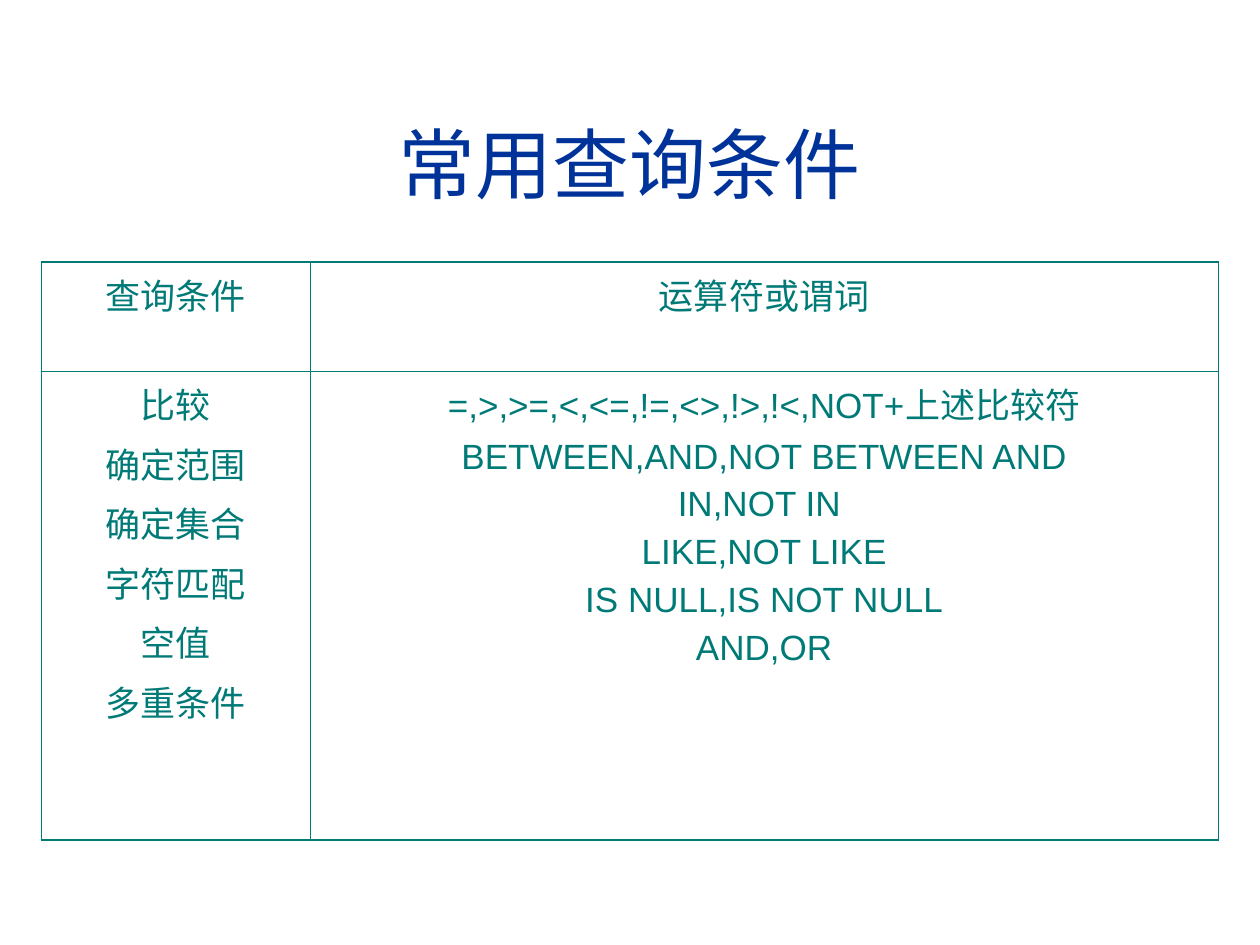
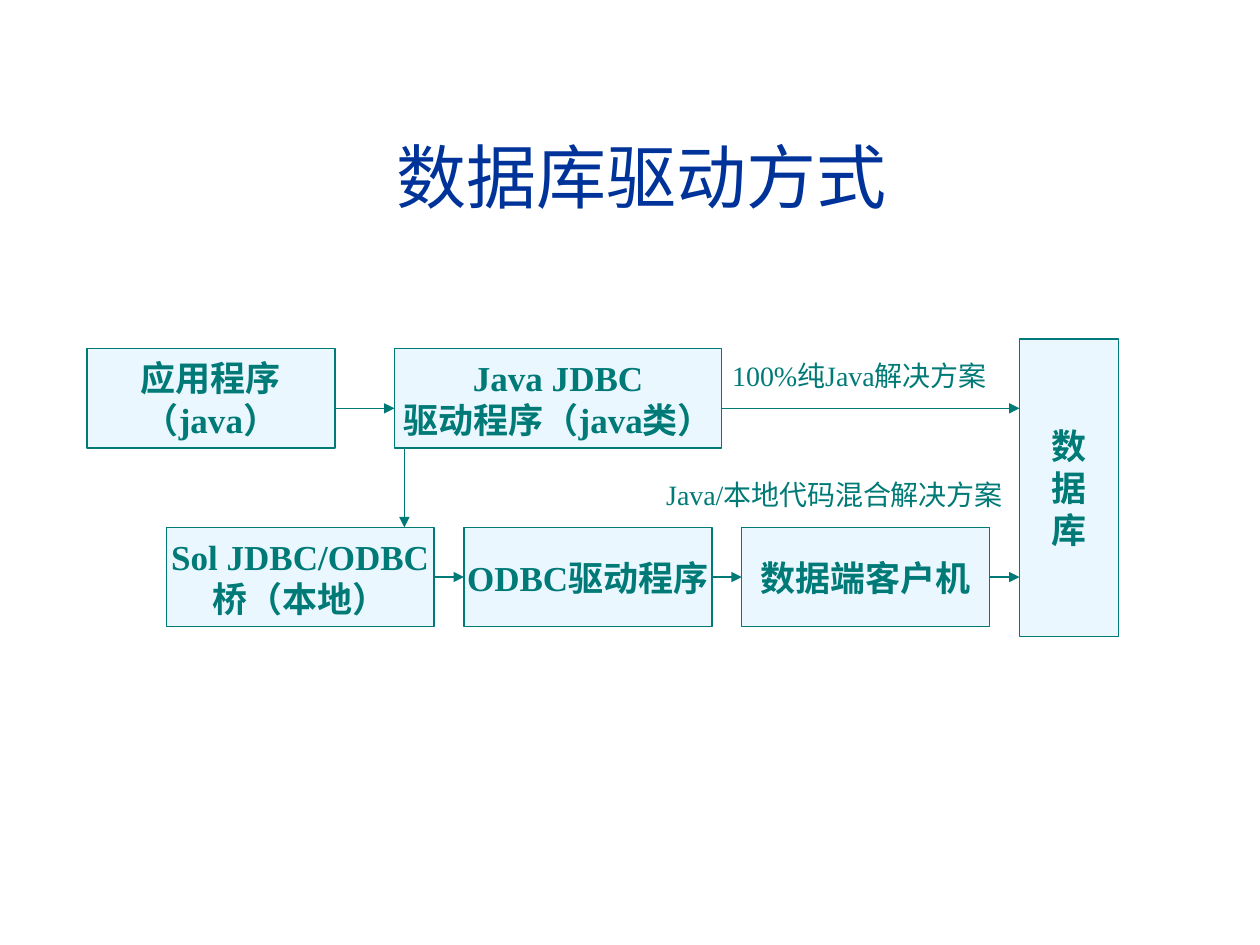
from dataclasses import dataclass

from lxml import etree
from pptx import Presentation
from pptx.dml.color import RGBColor
from pptx.enum.shapes import MSO_CONNECTOR, MSO_SHAPE
from pptx.enum.text import MSO_ANCHOR, MSO_AUTO_SIZE, PP_ALIGN
from pptx.oxml.ns import qn
from pptx.util import Inches, Mm, Pt

CENTER = PP_ALIGN.CENTER
TOP, MIDDLE = MSO_ANCHOR.TOP, MSO_ANCHOR.MIDDLE
RECT, STRAIGHT = MSO_SHAPE.RECTANGLE, MSO_CONNECTOR.STRAIGHT
NO_FIT, GROW = MSO_AUTO_SIZE.NONE, MSO_AUTO_SIZE.SHAPE_TO_FIT_TEXT
LEFT, RIGHT = 1, 3


@dataclass(frozen=True)
class Theme:
    navy: str = "003399"
    teal: str = "007A77"
    pale: str = "EBF7FF"
    sans: str = "Arial"
    serif: str = "Times New Roman"
    body: int = 20
    label: int = 16
    line: float = 0.75
    outer: float = 1.08
    inner: float = 0.45


theme = Theme()
teal = RGBColor.from_string(theme.teal)


def write(frame, text, size, name, color=theme.teal, bold=False, before=0):
    """Fill a text frame with one centred paragraph per line of text."""
    frame.text = text
    style = {"size": Pt(size), "name": name, "bold": bold}
    for para in frame.paragraphs:
        para.alignment = CENTER
        para.space_before = Pt(before)
        for run in para.runs:
            for key, value in style.items():
                setattr(run.font, key, value)
            run.font.color.rgb = RGBColor.from_string(color)


deck = Presentation()
deck.slide_width, deck.slide_height = Inches(10), Inches(7.5)

# Slides and titles: text, size, box in inches
titles = [
    ("常用查询条件", 44, (0.33, 0.67, 9.34, 1.25)),
    ("数据库驱动方式", 40, (0.84, 0.93, 8.5, 0.92)),
]
for text, size, box in titles:
    slide = deck.slides.add_slide(deck.slide_layouts[5])
    title = slide.shapes.title
    title.left, title.top, title.width, title.height = map(Inches, box)
    frame = title.text_frame
    frame.auto_size, frame.vertical_anchor = NO_FIT, MIDDLE
    write(frame, text, size, theme.sans, theme.navy)
first, second = deck.slides

# Query conditions table
rows = [
    ("查询条件", "运算符或谓词"),
    (
        "比较\n确定范围\n确定集合\n字符匹配\n空值\n多重条件",
        "=,>,>=,<,<=,!=,<>,!>,!<,NOT+上述比较符\n"
        "BETWEEN,AND,NOT BETWEEN AND\nIN,NOT IN \nLIKE,NOT LIKE\n"
        "IS NULL,IS NOT NULL\nAND,OR",
    ),
]
widths, heights = (2.13, 7.21), (0.87, 3.72)
table = first.shapes.add_table(
    len(rows), len(widths), Inches(0.33), Inches(2.08),
    Inches(sum(widths)), Inches(sum(heights)),
).table
table.first_row = table.horz_banding = False
for col, width in zip(table.columns, widths):
    col.width = Inches(width)
for row, height in zip(table.rows, heights):
    row.height = Inches(height)

for r, texts in enumerate(rows):
    for c, text in enumerate(texts):
        cell = table.cell(r, c)
        cell.vertical_anchor = TOP
        write(cell.text_frame, text, theme.body, theme.sans, before=5)
        edges = {
            "a:lnL": c == 0,
            "a:lnR": c == len(widths) - 1,
            "a:lnT": r == 0,
            "a:lnB": r == len(rows) - 1,
        }
        props = cell._tc.get_or_add_tcPr()
        for tag, outer in edges.items():
            weight = Pt(theme.outer if outer else theme.inner)
            edge = etree.SubElement(props, qn(tag), w=str(weight))
            fill = etree.SubElement(edge, qn("a:solidFill"))
            etree.SubElement(fill, qn("a:srgbClr"), val=theme.teal)
        cell.fill.background()

# Driver diagram on a 2 mm grid
LEFT_EDGE, TOP_EDGE = Inches(0.69), Inches(2.69)


def place(x, y):
    """Turn a grid column and row into slide coordinates."""
    return LEFT_EDGE + Mm(2 * x), TOP_EDGE + Mm(2 * y)


UPPER, LOWER, HIGH = 1, 19, 10
boxes = {
    "app": ("应用程序\n（java）", 0, UPPER, 25, HIGH),
    "jdbc": ("Java JDBC\n驱动程序（java类）", 31, UPPER, 33, HIGH),
    "data": ("数\n据\n库", 94, 0, 10, 30),
    "bridge": ("Sol JDBC/ODBC\n桥（本地）", 8, LOWER, 27, HIGH),
    "odbc": ("ODBC驱动程序", 38, LOWER, 25, HIGH),
    "client": ("数据端客户机", 66, LOWER, 25, HIGH),
}
nodes = {}
for key, (text, x, y, wide, high) in boxes.items():
    node = second.shapes.add_shape(RECT, *place(x, y), Mm(2 * wide), Mm(2 * high))
    node.shadow.inherit = False
    node.fill.solid()
    node.fill.fore_color.rgb = RGBColor.from_string(theme.pale)
    node.line.color.rgb = teal
    node.line.width = Pt(theme.line)
    frame = node.text_frame
    frame.word_wrap, frame.vertical_anchor = False, MIDDLE
    write(frame, text, theme.body, theme.serif, bold=True)
    nodes[key] = node

# Arrows: start and end on the grid, then the boxes joined at mid-side
mid = LOWER + HIGH / 2
arrows = [
    ((25, 7), (31, 7), None, None),
    ((64, 7), (94, 7), None, None),
    ((32, UPPER + HIGH), (32, LOWER), None, None),
    ((35, mid), (38, mid), "bridge", "odbc"),
    ((63, mid), (66, mid), "odbc", "client"),
    ((91, mid), (94, mid), "client", None),
]
for start, end, source, target in arrows:
    arrow = second.shapes.add_connector(STRAIGHT, *place(*start), *place(*end))
    if source:
        arrow.begin_connect(nodes[source], RIGHT)
    if target:
        arrow.end_connect(nodes[target], LEFT)
    arrow.line.color.rgb = teal
    arrow.line.width = Pt(theme.line)
    etree.SubElement(arrow.line._get_or_add_ln(), qn("a:tailEnd"), type="triangle")
    etree.SubElement(arrow._element.spPr, qn("a:effectLst"))

# Labels: text, middle column, row, width
labels = [
    ("100%纯Java解决方案", 77.85, 1.4, 31),
    ("Java/本地代码混合解决方案", 75.35, 13.3, 39),
]
for text, center, y, wide in labels:
    spot = place(center - wide / 2, y)
    label = second.shapes.add_textbox(*spot, Mm(2 * wide), Inches(0.37))
    frame = label.text_frame
    frame.word_wrap, frame.auto_size = False, GROW
    write(frame, text, theme.label, theme.serif)

deck.save("out.pptx")
